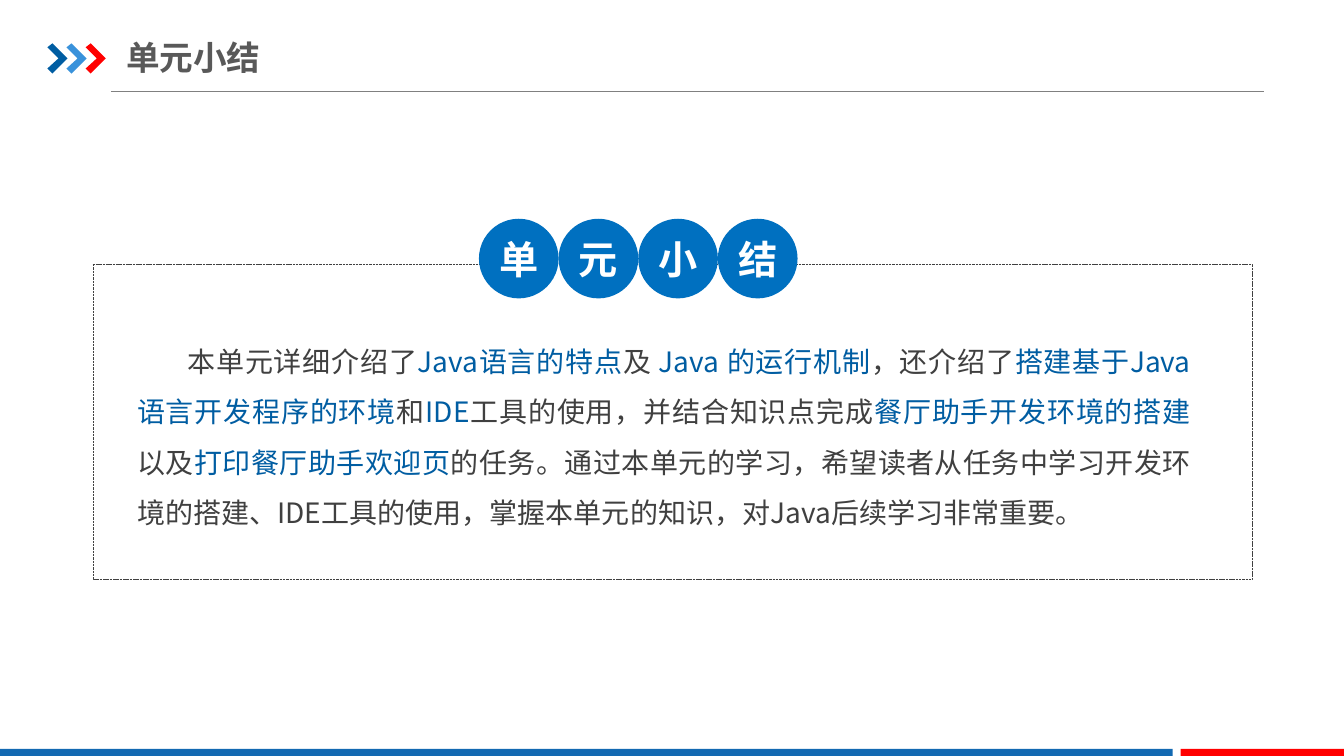
from lxml import etree
from pptx import Presentation
from pptx.dml.color import RGBColor
from pptx.enum.dml import MSO_LINE
from pptx.enum.lang import MSO_LANGUAGE_ID
from pptx.enum.shapes import MSO_CONNECTOR, MSO_SHAPE
from pptx.enum.text import MSO_ANCHOR, MSO_AUTO_SIZE, PP_ALIGN
from pptx.oxml.ns import qn
from pptx.util import Inches, Pt

RECTANGLE = MSO_SHAPE.RECTANGLE
ROUNDED = MSO_SHAPE.ROUNDED_RECTANGLE
OVAL = MSO_SHAPE.OVAL
STRAIGHT = MSO_CONNECTOR.STRAIGHT
MIDDLE = MSO_ANCHOR.MIDDLE
TOP = MSO_ANCHOR.TOP
CENTER = PP_ALIGN.CENTER
LEFT = PP_ALIGN.LEFT
JUSTIFY = PP_ALIGN.JUSTIFY
SHORT_DASH = MSO_LINE.SQUARE_DOT
NO_AUTOFIT = MSO_AUTO_SIZE.NONE
CHINESE = MSO_LANGUAGE_ID.SIMPLIFIED_CHINESE

FONT = "Noto Sans CJK SC"
NAVY, RED, DARK = "005DA2", "FF0000", "404040"


def color(value):
    return RGBColor.from_string(value)


def add_span(para, text, size, fill, bold=False):
    span = para.add_run()
    span.text = text
    formats = {"size": Pt(size), "bold": bold, "name": FONT, "language_id": CHINESE}
    for name, value in formats.items():
        setattr(span.font, name, value)
    span.font.color.rgb = color(fill)
    properties = span.font._element
    etree.SubElement(properties, qn("a:ea")).set("typeface", FONT)


deck = Presentation()
deck.slide_width, deck.slide_height = Inches(13.33), Inches(7.5)
page = deck.slides.add_slide(deck.slide_layouts[1])
shapes = page.shapes
title, body = page.placeholders

rule = shapes.add_connector(STRAIGHT, Inches(1.1), Inches(0.91), Inches(12.54), Inches(0.91))
rule.line.color.rgb = color("808080")
rule.line.width = Pt(0.75)
etree.SubElement(rule._element.spPr, qn("a:effectLst"))

chevron = [(0, 0.04), (0.05, 0), (0.2, 0.15), (0.05, 0.3), (0, 0.25), (0.11, 0.15)]
for index, fill in enumerate([NAVY, "3992DB", RED]):
    left = 0.47 + 0.19 * index
    points = [(Inches(left + x), Inches(0.43 + y)) for x, y in chevron]
    builder = shapes.build_freeform(*points[0], scale=1.0)
    builder.add_line_segments(points[1:], close=True)
    arrow = builder.convert_to_shape()
    arrow.shadow.inherit = False
    arrow.fill.solid()
    arrow.fill.fore_color.rgb = color(fill)
    arrow.line.fill.background()

for left, width, fill in [(0, 11.63, "1369B2"), (11.71, 1.63, RED)]:
    bar = shapes.add_shape(RECTANGLE, Inches(left), Inches(7.43), Inches(width), Inches(0.09))
    bar.shadow.inherit = False
    bar.fill.solid()
    bar.fill.fore_color.rgb = color(fill)
    bar.line.fill.background()

placeholders = [
    (title, (1.25, 0.29, 6.2, 0.55), 0, MIDDLE),
    (body, (1.23, 3.18, 10.71, 2.15), 0.13, TOP),
]
for box, place, inset, anchor in placeholders:
    box.left, box.top, box.width, box.height = map(Inches, place)
    frame_formats = {
        "word_wrap": True,
        "auto_size": NO_AUTOFIT,
        "vertical_anchor": anchor,
        "margin_left": Inches(inset),
        "margin_right": Inches(inset),
        "margin_top": Inches(0.07),
        "margin_bottom": Inches(0.07),
    }
    for name, value in frame_formats.items():
        setattr(box.text_frame, name, value)

heading = title.text_frame.paragraphs[0]
heading.alignment = LEFT
add_span(heading, "单元小结", 24, "595959", True)

summary = body.text_frame.paragraphs[0]
summary_properties = summary._p.get_or_add_pPr()
summary_properties.set("marL", "0")
summary_properties.set("indent", str(Inches(0.5)))
etree.SubElement(summary_properties, qn("a:buNone"))
summary.alignment = JUSTIFY
summary.line_spacing = 1.5
summary.space_before = Pt(0)
spans = [
    "本单元详细介绍了",
    "Java语言的特点",
    "及",
    " Java 的运行机制",
    "，还介绍了",
    "搭建基于Java 语言开发程序的环境",
    "和",
    "IDE",
    "工具的使用，并结合知识点完成",
    "餐厅助手开发环境的搭建",
    "以及",
    "打印餐厅助手欢迎页",
    "的任务。通过本单元的学习，希望读者从任务中学习开发环境的搭建、IDE工具的使用，"
    "掌握本单元的知识，对Java后续学习非常重要。",
]
for index, text in enumerate(spans):
    add_span(summary, text, 20, NAVY if index % 2 else DARK)

border = shapes.add_shape(ROUNDED, Inches(0.92), Inches(2.62), Inches(11.5), Inches(3.13))
border.adjustments[0] = 0
border.shadow.inherit = False
border.fill.background()
border.line.color.rgb = color(DARK)
border.line.width = Pt(0.25)
border.line.dash_style = SHORT_DASH

diameter = 0.79
for index, character in enumerate("单元小结"):
    left = Inches(4.75 + diameter * index)
    badge = shapes.add_shape(OVAL, left, Inches(2.17), Inches(diameter), Inches(diameter))
    badge.shadow.inherit = False
    badge.fill.solid()
    badge.fill.fore_color.rgb = color("0070C0")
    badge.line.fill.background()
    frame = badge.text_frame
    frame.vertical_anchor = MIDDLE
    frame.margin_left = frame.margin_right = 0
    frame.paragraphs[0].alignment = CENTER
    add_span(frame.paragraphs[0], character, 28, "FFFFFF", True)

deck.save("out.pptx")
